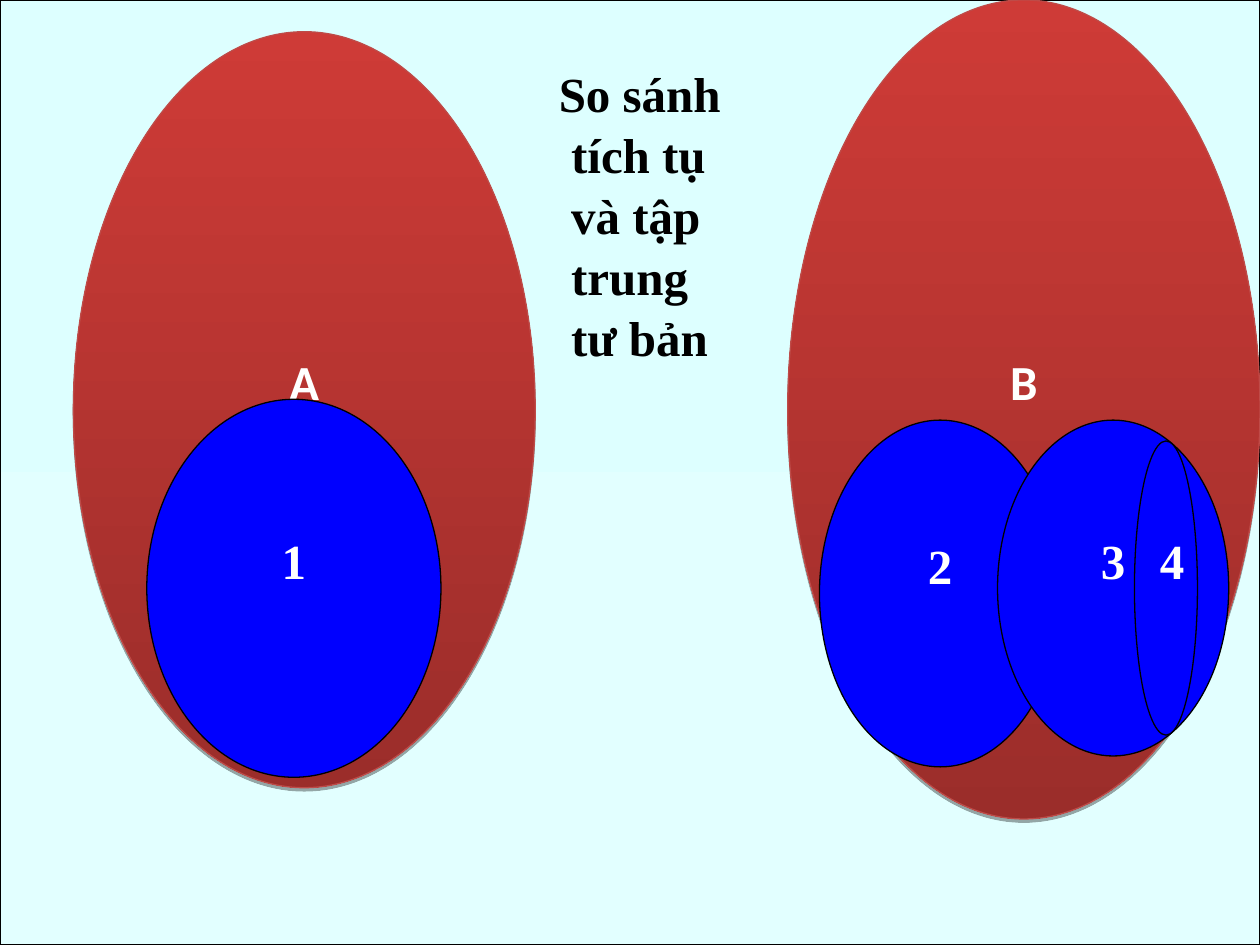
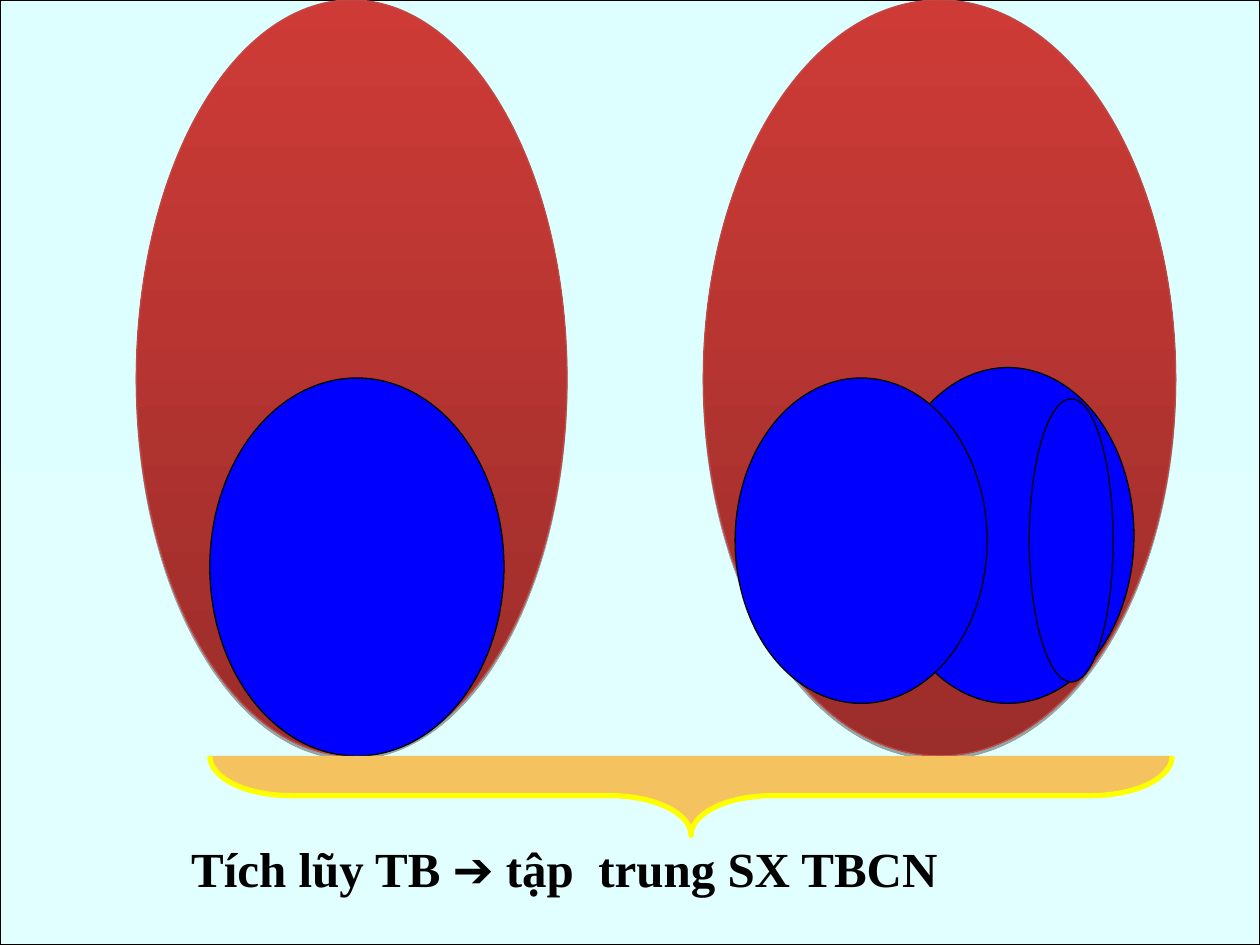
from lxml import etree
from pptx import Presentation
from pptx import util as u
from pptx.dml.color import RGBColor
from pptx.enum import shapes, text
from pptx.oxml.ns import qn

SERIF = "Times New Roman"
BLACK, WHITE, BLUE = "000000", "FFFFFF", "0000FF"
SKY = ("DDFFFF", "E2FFFF")
RED = ("CE3B37", "9B2D2A")
RIM, GOLD, YELLOW = "BE4B48", "F4C25E", "FFFF00"
WIDE, HIGH = 25.4, 19.05


def hue(code):
    """Turn a hex string into a colour."""
    return RGBColor.from_string(code)


def style(run, code=BLACK, face=SERIF):
    """Give a run the shared bold text style."""
    run.font.size, run.font.bold = u.Pt(28), True
    run.font.name, run.font.color.rgb = face, hue(code)


def paint(shape, fill, line, width=0.75):
    """Fill a shape with one colour or a top-to-bottom pair, and line it."""
    shape.shadow.inherit = False
    if isinstance(fill, tuple):
        shape.fill.gradient()
        shape.fill.gradient_angle = 270
        for stop, code in zip(shape.fill.gradient_stops, fill):
            stop.color.rgb = hue(code)
    else:
        shape.fill.solid()
        shape.fill.fore_color.rgb = hue(fill)
    shape.line.color.rgb = hue(line)
    shape.line.width = u.Pt(width)


def draw(slide, kind, box):
    """Add a preset shape in a box given in centimetres."""
    return slide.shapes.add_shape(kind, *map(u.Cm, box))


def shade(shape):
    """Drop a soft dark edge just below a shape."""
    effect = shape.element.spPr.find(qn("a:effectLst"))
    drop = etree.SubElement(effect, qn("a:outerShdw"), blurRad="0",
                            dist="22860", dir="5400000", rotWithShape="0")
    tone = etree.SubElement(drop, qn("a:srgbClr"), val=BLACK)
    etree.SubElement(tone, qn("a:alpha"), val="35000")


def oval(slide, box, fill, line, label="", face=SERIF, push=0):
    """Draw an ellipse whose label stands a little above the middle."""
    shape = draw(slide, shapes.MSO_SHAPE.OVAL, box)
    paint(shape, fill, line)
    if label:
        frame = shape.text_frame
        frame.word_wrap = False
        frame.vertical_anchor = text.MSO_ANCHOR.MIDDLE
        frame.margin_left = u.Cm(0.25 + push)
        frame.margin_bottom = u.Cm(1.27)
        frame.text = label
        frame.paragraphs[0].alignment = text.PP_ALIGN.CENTER
        style(frame.paragraphs[0].runs[0], WHITE, face)
    return shape


def firm(slide, box, parts, name=""):
    """Draw a red oval and the blue ovals set relative to its corner."""
    shade(oval(slide, box, RED, RIM, name, "Calibri"))
    for left, top, wide, high, *label in parts:
        place = (box[0] + left, box[1] + top, wide, high)
        oval(slide, place, BLUE, BLACK, *label)


def brace(slide, box):
    """Draw a brace that lies on its side and points down."""
    left, top, wide, high = box
    turn = (wide - high) / 2
    shape = draw(slide, shapes.MSO_SHAPE.RIGHT_BRACE,
                 (left + turn, top - turn, high, wide))
    shape.rotation = 90
    shape.adjustments[0] = 1.02
    paint(shape, GOLD, YELLOW, 3)


def title(slide, box, lines):
    """Place the title; each line is a list of text and font pairs."""
    head = slide.shapes.title
    head.left, head.top, head.width, head.height = map(u.Cm, box)
    frame = head.text_frame
    frame.word_wrap = True
    frame.auto_size = text.MSO_AUTO_SIZE.NONE
    frame.vertical_anchor = text.MSO_ANCHOR.TOP
    for row, line in enumerate(lines):
        para = frame.add_paragraph() if row else frame.paragraphs[0]
        para.alignment = text.PP_ALIGN.LEFT
        para.line_spacing = 1.04
        if row:
            para._p.get_or_add_pPr().set("marL", str(u.Cm(0.25)))
        for words, face in line:
            run = para.add_run()
            run.text = words
            style(run, face=face)


def back(deck, slide):
    """Put the pale framed background on the slide master."""
    sheet = draw(slide, shapes.MSO_SHAPE.RECTANGLE, (0, 0, WIDE, HIGH))
    paint(sheet, SKY, BLACK)
    sheet.element.nvSpPr.cNvPr.set("id", "99")
    deck.slide_master.shapes.element.insert(2, sheet.element)


def compare(slide):
    """Build the slide that compares the two firms."""
    firm(slide, (1.48, 0.64, 9.31, 15.24),
         [(1.48, 7.41, 5.93, 7.62, "1")], "A")
    lines = ["So sánh", "tích tụ", "và tập", "trung", "tư bản"]
    title(slide, (11.01, 1.1, 9.52, 7.41), [[(line, SERIF)] for line in lines])
    firm(slide, (15.88, 0, 9.52, 16.51),
         [(0.64, 8.47, 4.87, 6.99, "2"),
          (4.23, 8.47, 4.66, 6.77, "3"),
          (6.99, 8.89, 1.27, 5.93, "4", SERIF, 0.25)], "B")


def conclude(slide):
    """Build the slide that joins both firms into one result."""
    firm(slide, (2.75, 0, 8.68, 15.24), [(1.48, 7.62, 5.93, 7.62)])
    firm(slide, (14.18, 0, 9.52, 15.24),
         [(3.6, 7.41, 5.08, 6.77),
          (0.64, 7.62, 5.08, 6.56),
          (6.57, 8.04, 1.69, 5.71)])
    brace(slide, (4.23, 15.24, 19.4, 1.6))
    title(slide, (3.6, 16.72, 18.84, 1.9),
          [[("Tích lũy TB ", SERIF), ("➔", "Arial"),
            (" tập  trung SX TBCN", SERIF)]])


def main():
    """Build and save the deck."""
    deck = Presentation()
    deck.slide_width, deck.slide_height = u.Cm(WIDE), u.Cm(HIGH)
    first, last = [deck.slides.add_slide(deck.slide_layouts[5])
                   for _ in range(2)]
    back(deck, first)
    compare(first)
    conclude(last)
    deck.save("out.pptx")


if __name__ == "__main__":
    main()
